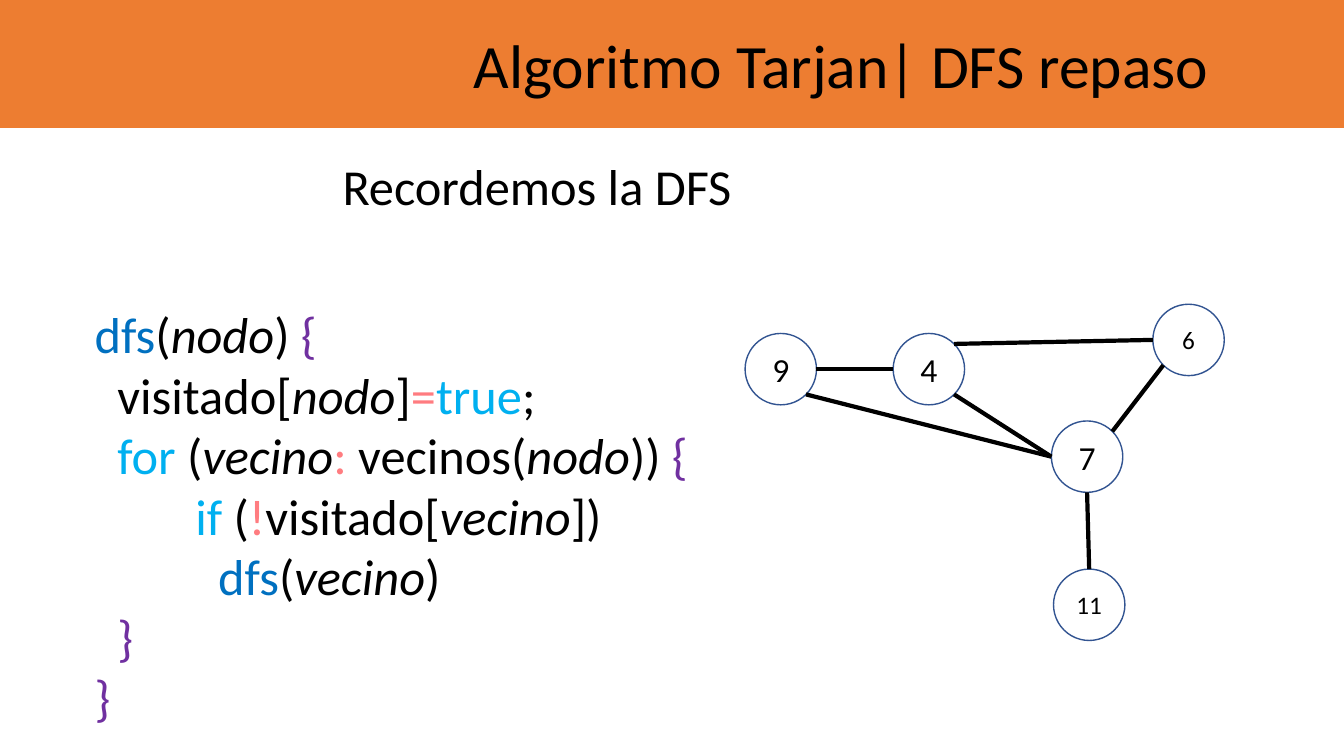
"""Build a slide that reviews depth-first search with pseudocode and a graph."""
from math import cos, radians, sin

from lxml.etree import SubElement
from pptx import Presentation
from pptx.dml.color import RGBColor
from pptx.enum.shapes import MSO_CONNECTOR, MSO_SHAPE
from pptx.enum.text import MSO_ANCHOR, PP_ALIGN
from pptx.oxml.ns import qn
from pptx.util import Pt

COLORS = {
    "banner": "ED7D31", "outline": "325491", "text": "000000", "call": "0070C0",
    "keyword": "00B0F0", "operator": "FF7C80", "brace": "7030A0",
}
FONT = "Calibri"
TITLE = "Algoritmo Tarjan| DFS repaso"
SUBTITLE = "Recordemos la DFS"
STEP, TAB = 16.3, 72
CODE = [
    (0, [("dfs", "call"), ("(", "text"), ("nodo", "var"), (") ", "text"), ("{", "brace")]),
    (STEP, [("visitado[", "text"), ("nodo", "var"), ("]", "text"), ("=", "operator"),
            ("true", "keyword"), (";", "text")]),
    (STEP, [("for", "keyword"), (" (", "text"), ("vecino", "var"), (":", "operator"),
            (" vecinos(", "text"), ("nodo", "var"), (")) ", "text"), ("{", "brace")]),
    (TAB, [("if", "keyword"), (" (", "text"), ("!", "operator"), ("visitado[", "text"),
           ("vecino", "var"), ("])", "text")]),
    (TAB + STEP, [("dfs", "call"), ("(", "text"), ("vecino", "var"), (")", "text")]),
    (STEP, [("}", "brace")]),
    (0, [("}", "brace")]),
]
DIAMETER = 51
NODES = {
    "9": (557.7, 263.7, 24), "4": (663.5, 263.7, 24), "7": (776.5, 326.2, 24),
    "6": (849, 242.8, 18), "11": (778, 432, 18),
}
ANGLES = {"right": 0, "lower right": 45, "bottom": 90, "left": 180,
          "top": 270, "upper right": 315, "lower left": 135}
EDGES = [
    ("6", "left", "4", "upper right"),
    ("7", "upper right", "6", "lower left"),
    ("7", "left", "4", "lower right"),
    ("7", "bottom", "11", "top"),
    ("9", "right", "4", "left"),
    ("7", "left", "9", "lower right"),
]


def color(name):
    return RGBColor.from_string(COLORS[name])


def write(p, text, size=36, style="text"):
    """Add a run to a paragraph; the style "var" is italic body text."""
    r = p.add_run()
    r.text = text
    r.font.name, r.font.size = FONT, Pt(size)
    r.font.italic = style == "var"
    r.font.color.rgb = color("text" if style == "var" else style)


def add_box(x, y, w, h, wrap=False):
    tf = s.shapes.add_textbox(Pt(x), Pt(y), Pt(w), Pt(h)).text_frame
    tf.word_wrap = wrap
    return tf


def add_shape(kind, x, y, w, h):
    sp = s.shapes.add_shape(kind, Pt(x), Pt(y), Pt(w), Pt(h))
    sp.shadow.inherit = False
    return sp


def site(node, side):
    """Return the point on a node's circle that faces a side."""
    x, y, _ = NODES[node]
    a = radians(ANGLES[side])
    return Pt(x + DIAMETER / 2 * cos(a)), Pt(y + DIAMETER / 2 * sin(a))


prs = Presentation()
prs.slide_width, prs.slide_height = Pt(960), Pt(540)
s = prs.slides.add_slide(prs.slide_layouts[6])

banner = add_shape(MSO_SHAPE.RECTANGLE, 0, 0, 960, 91.4)
banner.fill.solid()
banner.fill.fore_color.rgb = color("banner")
banner.line.fill.background()

write(add_box(331.2, 15.8, 545.8, 60.5).paragraphs[0], TITLE, size=44)
write(add_box(237.6, 107.3, 295.2, 51.1).paragraphs[0], SUBTITLE)

for node, (x, y, size) in NODES.items():
    sp = add_shape(MSO_SHAPE.OVAL, x - DIAMETER / 2, y - DIAMETER / 2, DIAMETER, DIAMETER)
    sp.fill.background()
    sp.line.color.rgb = color("outline")
    sp.line.width = Pt(1)
    tf = sp.text_frame
    tf.word_wrap = False
    tf.vertical_anchor = MSO_ANCHOR.MIDDLE
    tf.paragraphs[0].alignment = PP_ALIGN.CENTER
    write(tf.paragraphs[0], node, size=size)

for start, start_side, end, end_side in EDGES:
    edge = s.shapes.add_connector(MSO_CONNECTOR.STRAIGHT, *site(start, start_side),
                                  *site(end, end_side))
    edge.line.color.rgb = color("text")
    edge.line.width = Pt(3)
    SubElement(edge._element.spPr, qn("a:effectLst"))

tf = add_box(60.5, 213.1, 592.6, 312.5, wrap=True)
for i, (indent, parts) in enumerate(CODE):
    p = tf.add_paragraph() if i else tf.paragraphs[0]
    p._p.get_or_add_pPr().set("marL", str(Pt(indent)))
    for text, style in parts:
        write(p, text, style=style)

prs.save("out.pptx")
